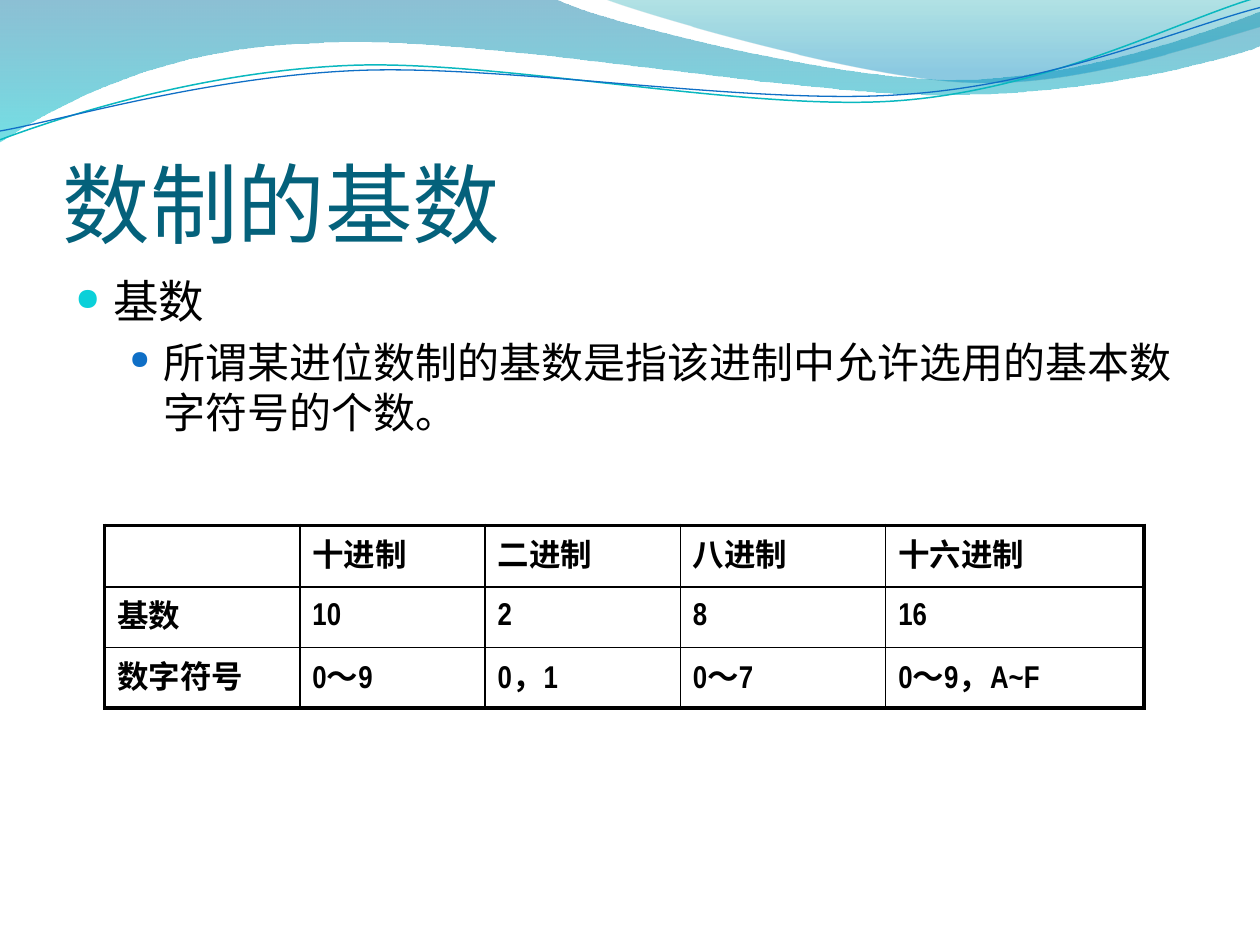
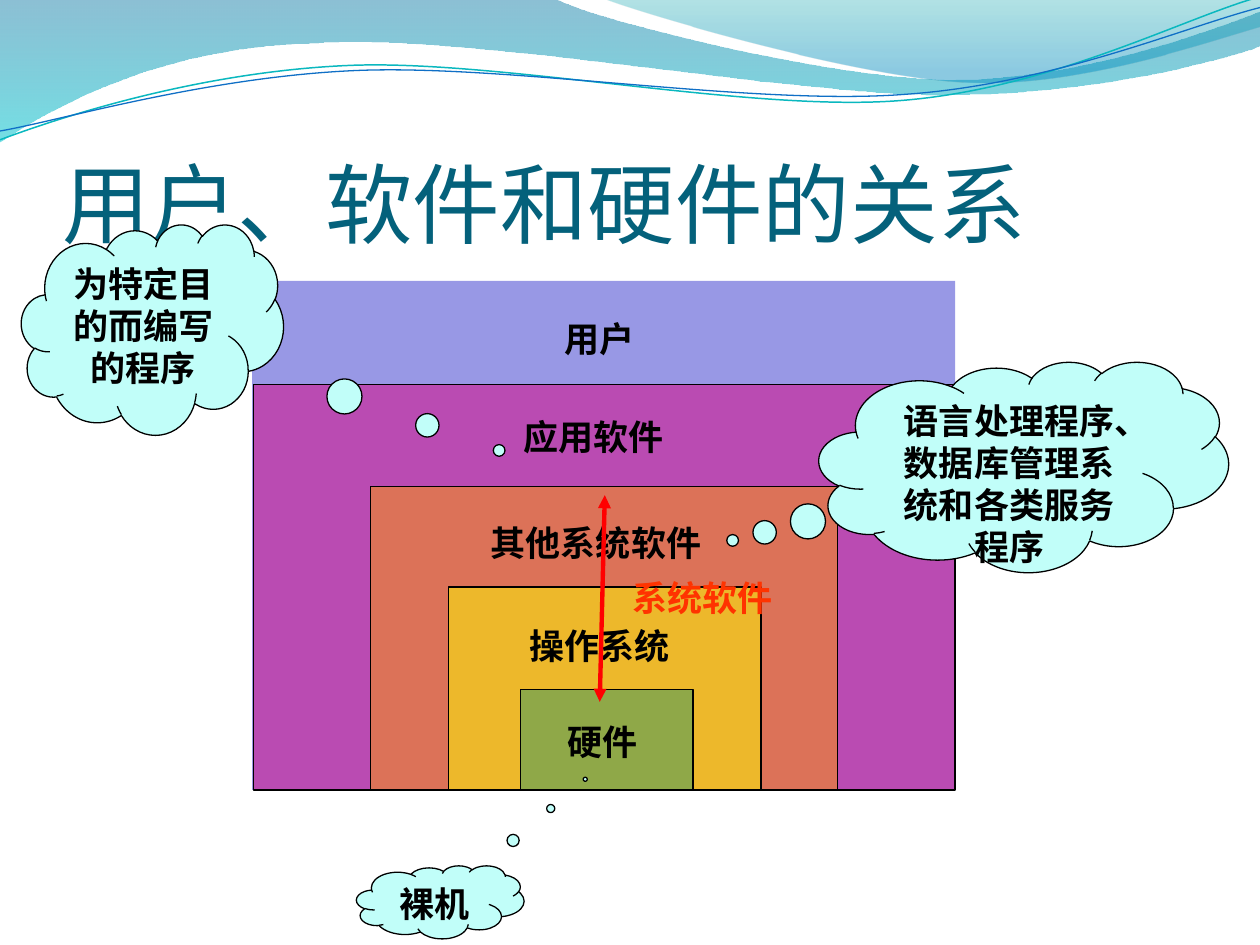
from lxml.etree import SubElement
from pptx import Presentation
from pptx.dml.color import RGBColor
from pptx.enum.shapes import MSO_CONNECTOR, MSO_SHAPE
from pptx.enum.text import MSO_ANCHOR, PP_ALIGN
from pptx.oxml.ns import qn
from pptx.util import Inches, Pt

BLACK = RGBColor(0, 0, 0)
TITLE = RGBColor(0x04, 0x61, 0x7B)
AQUA = RGBColor(0x0B, 0xD0, 0xD9)
BLUE = RGBColor(0x0F, 0x6F, 0xC6)
TEAL = RGBColor(0x0A, 0xB8, 0xBF)
DEEP = RGBColor(0x00, 0x74, 0xA1)
CYAN = RGBColor(0x00, 0xC6, 0xCF)
GREEN = RGBColor(0x00, 0xA1, 0xA9)
SEA = RGBColor(0x00, 0x8B, 0xBF)
CLOUD = RGBColor(0xC1, 0xFE, 0xF9)
RED = RGBColor(0xFF, 0, 0)
ORANGE = RGBColor(0xFF, 0x33, 0)

HEAD = "Calibri"
BODY = "Vollkorn"
SANS = "Noto Sans CJK SC"
CELL = "Arial Narrow"

# Waves: a start, then straight steps (x, y) or curves (three points in a row)
BAND = [(0, 0), (4.4, -0.01), (4.76, 0.17, 6.64, 0.63, 7.58, 0.63),
        (8.53, 0.63, 9.58, 0.26, 10, 0.09), (10.01, 0.36),
        (9.83, 0.44, 8.7, 0.76, 7.46, 0.75), (6.22, 0.75, 3.82, 0.28, 2.57, 0.34),
        (1.29, 0.36, 0.46, 0.83, -0.01, 1.13)]
SAIL = [(4.79, -0.01), (5.09, 0.11, 6.82, 0.62, 7.69, 0.65),
        (8.56, 0.69, 9.61, 0.32, 10, 0.21), (10, 0)]
UPPER = [(0, 1.11), (0.48, 0.93, 1.58, 0.57, 2.77, 0.52),
         (3.95, 0.47, 5.93, 0.89, 7.13, 0.8), (8.33, 0.71, 9.38, 0.15, 9.98, -0.02)]
LOWER = [(0, 1.04), (0.47, 0.96, 1.64, 0.61, 2.83, 0.56),
         (4.03, 0.51, 5.97, 0.84, 7.17, 0.75), (8.36, 0.67, 9.41, 0.21, 10, 0.06)]


def bend(shape, steps):
    """Turn each three lines that stand for a curve into one cubic curve."""
    lines = iter(list(shape._element.iter(qn("a:lnTo"))))
    for step in steps[1:]:
        first = next(lines)
        if len(step) == 6:
            first.tag = qn("a:cubicBezTo")
            for _ in range(2):
                other = next(lines)
                first.append(other[0])
                other.getparent().remove(other)


def fade(color, percent):
    """Set the opacity of a solid colour element."""
    SubElement(color, qn("a:alpha"), val=str(percent * 1000))


class Deck:
    def __init__(self):
        self.prs = Presentation()
        self.prs.slide_width = Inches(10)
        self.prs.slide_height = Inches(7.5)
        self.shapes = None

    def page(self, title):
        self.shapes = self.prs.slides.add_slide(self.prs.slide_layouts[6]).shapes
        self.wave(BAND, stops=((0, DEEP, 45), (1, CYAN, 55)))
        self.wave(SAIL, stops=((0, GREEN, 30), (0.8, SEA, 45)))
        self.wave(UPPER, TEAL, 0.85)
        self.wave(LOWER, BLUE, 0.75)
        frame = self.box(0.5, 0.77, 9, 1.25, (0, 0.05, 0, 0))
        frame.vertical_anchor = MSO_ANCHOR.BOTTOM
        self.run(frame.paragraphs[0], title, 50, HEAD, TITLE)

    def wave(self, steps, color=None, width=0, stops=()):
        pts = [(Inches(s[i]), Inches(s[i + 1])) for s in steps for i in range(0, len(s), 2)]
        form = self.shapes.build_freeform(*pts[0])
        form.add_line_segments(pts[1:], close=bool(stops))
        shape = form.convert_to_shape()
        lines = shape._element.findall(".//" + qn("a:lnTo"))
        assert len(lines) == len(pts) - 1
        bend(shape, steps)
        shape.shadow.inherit = False
        if not stops:
            shape.fill.background()
            self.edge(shape, color, width)
            return
        shape.line.fill.background()
        shape.fill.gradient()
        shape.fill.gradient_angle = 270
        for stop, (pos, tint, _) in zip(shape.fill.gradient_stops, stops):
            stop.position = pos
            stop.color.rgb = tint
        for node, (_, _, alpha) in zip(shape._element.iter(qn("a:srgbClr")), stops):
            fade(node, alpha)

    def edge(self, shape, color=BLACK, width=0.75):
        shape.line.color.rgb = color
        shape.line.width = Pt(width)

    def box(self, x, y, w, h, inset=(0.1, 0.05, 0.1, 0.05)):
        frame = self.shapes.add_textbox(*map(Inches, (x, y, w, h))).text_frame
        frame.word_wrap = True
        (frame.margin_left, frame.margin_top,
         frame.margin_right, frame.margin_bottom) = map(Inches, inset)
        return frame

    def run(self, para, text, size, face=BODY, color=BLACK, bold=False):
        run = para.add_run()
        run.text = text
        font = run.font
        font.size, font.bold = Pt(size), bold
        font.color.rgb = color
        font.name = face
        SubElement(run._r.get_or_add_rPr(), qn("a:ea"), typeface=HEAD)

    def bullet(self, para, left, hang, color, percent):
        props = para._p.get_or_add_pPr()
        props.set("marL", str(Inches(left)))
        props.set("indent", str(-Inches(hang)))
        tint = SubElement(props, qn("a:buClr"))
        SubElement(tint, qn("a:srgbClr"), val=str(color))
        SubElement(props, qn("a:buSzPct"), val=str(percent * 1000))
        SubElement(props, qn("a:buChar"), char="●")

    def table(self, x, y, cols, rows, data):
        grid = self.shapes.add_table(len(rows), len(cols), *map(
            Inches, (x, y, sum(cols), sum(rows)))).table
        grid.first_row = grid.horz_banding = False
        for col, width in zip(grid.columns, cols):
            col.width = Inches(width)
        for row, height in zip(grid.rows, rows):
            row.height = Inches(height)
        for r, line in enumerate(data):
            for c, text in enumerate(line):
                cell = grid.cell(r, c)
                cell.vertical_anchor = MSO_ANCHOR.MIDDLE
                outer = {"lnL": c == 0, "lnR": c == len(cols) - 1,
                         "lnT": r == 0, "lnB": r == len(rows) - 1}
                self.border(cell, outer)
                cell.fill.background()
                if text:
                    para = cell.text_frame.paragraphs[0]
                    para.line_spacing = 0.9
                    self.run(para, text, 18, CELL, bold=True)

    def border(self, cell, outer):
        props = cell._tc.get_or_add_tcPr()
        for side, thick in outer.items():
            line = SubElement(props, qn("a:" + side), w=str(Pt(2.25 if thick else 1)))
            fill = SubElement(line, qn("a:solidFill"))
            SubElement(fill, qn("a:srgbClr"), val=str(BLACK))

    def layer(self, x, y, w, h, color, edged):
        rect = self.shapes.add_shape(MSO_SHAPE.RECTANGLE, *map(Inches, (x, y, w, h)))
        rect.shadow.inherit = False
        rect.fill.solid()
        rect.fill.fore_color.rgb = RGBColor.from_string(color)
        fade(rect._element.spPr.find(".//" + qn("a:srgbClr")), 50)
        if edged:
            self.edge(rect)
        else:
            rect.line.fill.background()

    def label(self, text, x, y, w):
        para = self.box(x, y, w, 0.54, (0, 0, 0, 0)).paragraphs[0]
        para.alignment = PP_ALIGN.CENTER
        self.run(para, text, 20, SANS, bold=True)

    def cloud(self, text, x, y, w, h, tip):
        shape = self.shapes.add_shape(MSO_SHAPE.CLOUD_CALLOUT, *map(Inches, (x, y, w, h)))
        shape.adjustments[0], shape.adjustments[1] = tip
        shape.shadow.inherit = False
        shape.fill.solid()
        shape.fill.fore_color.rgb = CLOUD
        self.edge(shape)
        frame = shape.text_frame
        frame.word_wrap = True
        frame.vertical_anchor = MSO_ANCHOR.TOP
        para = frame.paragraphs[0]
        para.alignment = PP_ALIGN.CENTER
        self.run(para, text, 20, bold=True)

    def arrow(self, x1, y1, x2, y2):
        link = self.shapes.add_connector(MSO_CONNECTOR.STRAIGHT,
                                         *map(Inches, (x1, y1, x2, y2)))
        self.edge(link, RED, 2.5)
        line = link.line._get_or_add_ln()
        for end in ("headEnd", "tailEnd"):
            SubElement(line, qn("a:" + end), type="triangle")
        SubElement(link._element.spPr, qn("a:effectLst"))


def bases(deck):
    deck.page("数制的基数")

    # Definition
    frame = deck.box(0.5, 2.12, 9, 4.8)
    first, second = frame.paragraphs[0], frame.add_paragraph()
    deck.bullet(first, 0.3, 0.3, AQUA, 69)
    deck.run(first, "基数", 26)
    second.level = 1
    second.space_before = Pt(4.8)
    deck.bullet(second, 0.7, 0.27, BLUE, 61)
    deck.run(second, "所谓某进位数制的基数是指该进制中允许选用的基本数字符号的个数。", 24)

    # Number systems
    deck.table(0.83, 4.17, (1.55, 1.47, 1.55, 1.63, 2.05), (0.49, 0.48, 0.48), (
        ("", "十进制", "二进制", "八进制", "十六进制"),
        ("基数", "10", "2", "8", "16"),
        ("数字符号", "0～9", "0，1", "0～7", "0～9，A~F")))


def layers(deck):
    deck.page("用户、软件和硬件的关系")

    # Nested layers on one floor: rectangle, colour, label place
    floor = 6.27
    for text, x, y, w, color, spot in (
            ("用户", 2, 2.23, 5.58, "3333CC", (4.09, 2.52, 1.34)),
            ("应用软件", 2.01, 3.05, 5.57, "DC0081", (4.04, 3.3, 1.34)),
            ("其他系统软件", 2.94, 3.86, 3.71, "FF9900", (3.57, 4.14, 2.32)),
            ("操作系统", 3.56, 4.66, 2.48, "FFFF00", (4.09, 4.96, 1.34)),
            ("硬件", 4.13, 5.47, 1.37, "339966", (4.11, 5.72, 1.34))):
        deck.layer(x, y, w, floor - y, color, edged=text != "用户")
        deck.label(text, *spot)

    # Remarks
    deck.cloud("裸机", 2.83, 6.87, 1.33, 0.58, (0.865, -1.682))
    deck.cloud("语言处理程序、数据库管理系统和各类服务程序",
               6.5, 2.87, 3.25, 1.67, (-0.711, 0.35))
    deck.cloud("为特定目的而编写的程序", 0.17, 1.78, 2.08, 1.67, (1.323, 0.575))

    # Span of system software
    deck.arrow(4.8, 3.93, 4.76, 5.57)
    frame = deck.box(4.92, 4.53, 1.83, 0.43)
    deck.run(frame.paragraphs[0], "系统软件", 20, color=ORANGE, bold=True)


def main():
    deck = Deck()
    bases(deck)
    layers(deck)
    deck.prs.save("out.pptx")


if __name__ == "__main__":
    main()
